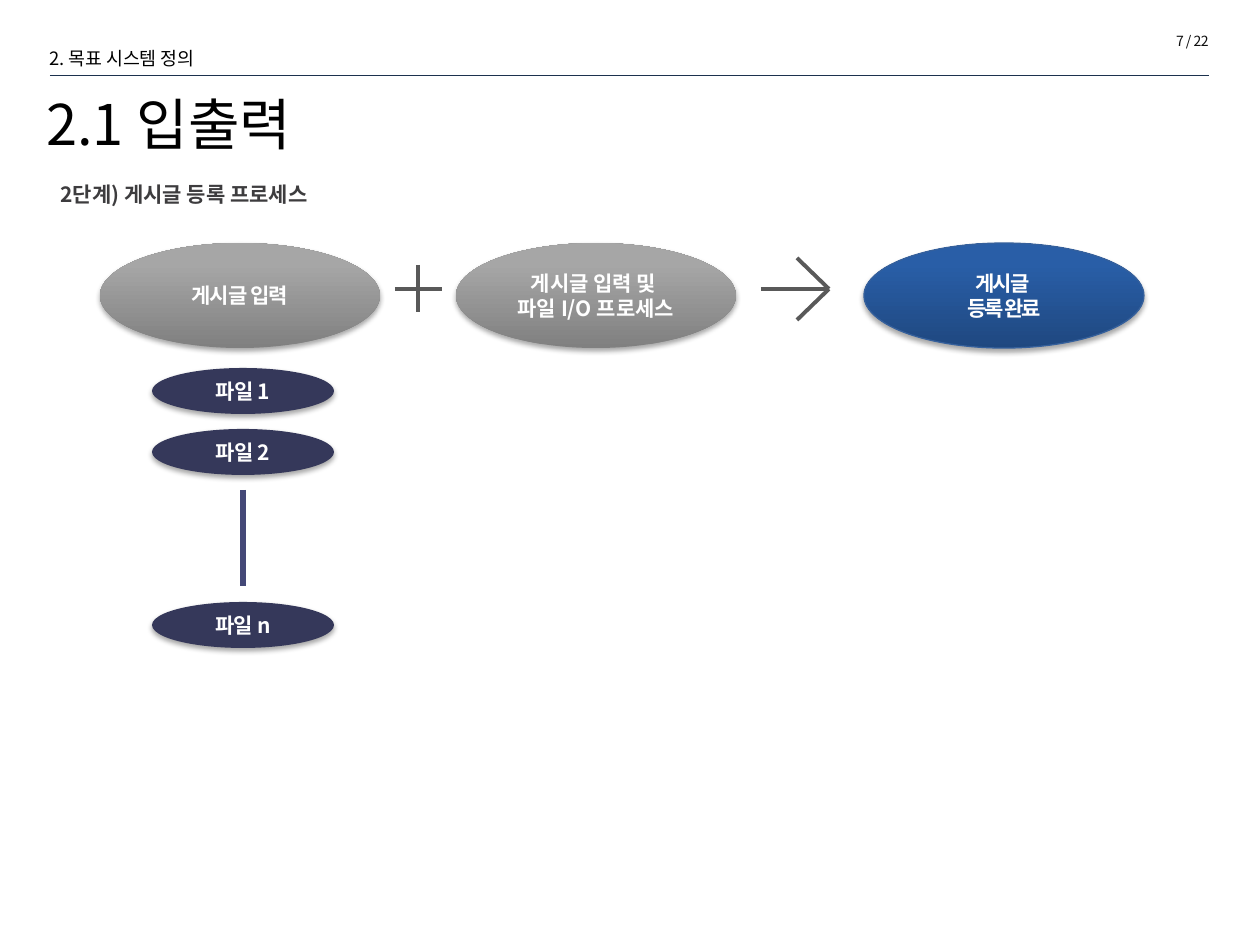
"""Build the slide on the input and output of the post registration process."""
from lxml.etree import SubElement
from pptx import Presentation
from pptx.dml.color import RGBColor
from pptx.enum.shapes import MSO_CONNECTOR as LINE, MSO_SHAPE as SHAPE
from pptx.enum.text import MSO_ANCHOR as ANCHOR, PP_ALIGN as ALIGN
from pptx.oxml.ns import qn
from pptx.util import Pt

FONT = "Noto Sans CJK KR"
SCALE = 914400 / 126
COLORS = {
    "black": "000000", "number": "0D0D0D", "heading": "3D3C3E", "white": "FFFFFF",
    "rule": "1C314E", "sign": "595959", "link": "444877", "file": "35385A",
    "gray_dark": "808080", "gray_light": "A6A6A6",
    "blue_dark": "1F4880", "blue_light": "295EA7", "blue_edge": "35609C",
}

LABELS = [
    ("2단계) 게시글 등록 프로세스", (48, 175, 549, 37),
     dict(size=12, color="heading", bold=True, before=2.4)),
    ("2. 목표 시스템 정의", (37, 19, 218, 52), dict(size=10.5, leading=25)),
    ("7 / 22", (1003, 26, 218, 30),
     dict(size=8, color="number", align=ALIGN.RIGHT, tracking=-0.3)),
    ("2.1 입출력", (34, 76, 1169, 118),
     dict(size=32, leading=25, anchor=ANCHOR.MIDDLE)),
]
STAGE_TOP, STAGE_SIZE = 243, (280, 105)
STAGES = [
    ("게시글 입력 및 \v파일 I/O 프로세스", 456, ("gray_dark", "gray_light"), None, 0),
    ("게시글 입력", 100, ("gray_dark", "gray_light"), None, -0.5),
    ("게시글 \n등록 완료", 864, ("blue_dark", "blue_light"), "blue_edge", -1.2),
]
FILE_LEFT, FILE_SIZE = 152, (182, 46)
FILES = [("파일 1", 368), ("파일 2", 429), ("파일 n", 602)]
AXIS = 289
LINES = [
    ("rule", 0.25, [(50, 75, 1209, 75)]),
    ("sign", 2.25, [(395, AXIS, 442, AXIS), (418, AXIS - 24, 418, AXIS + 23)]),
    ("link", 3, [(243, 490, 243, 586)]),
    ("sign", 2.25, [(797, AXIS - 31, 829, AXIS), (829, AXIS, 797, AXIS + 31),
                    (761, AXIS, 829, AXIS)]),
]


def emu(*pixels):
    return [round(pixel * SCALE) for pixel in pixels]


def rgb(name):
    return RGBColor.from_string(COLORS[name])


def write(shape, text, size=12, color="black", bold=False, align=ALIGN.LEFT,
          anchor=ANCHOR.TOP, leading=None, before=0, tracking=0):
    frame = shape.text_frame
    frame.word_wrap = True
    frame.vertical_anchor = anchor
    for index, words in enumerate(text.split("\n")):
        paragraph = frame.add_paragraph() if index else frame.paragraphs[0]
        paragraph.text = words
        paragraph.alignment = align
        paragraph.space_before = Pt(before)
        if leading:
            paragraph.line_spacing = Pt(leading)
        for run in paragraph.runs:
            run.font.name, run.font.size, run.font.bold = FONT, Pt(size), bold
            run.font.color.rgb = rgb(color)
            properties = run._r.get_or_add_rPr()
            SubElement(properties, qn("a:ea"), typeface=FONT)
            if tracking:
                properties.set("spc", str(round(tracking * 100)))


def add_shadow(shape):
    shape.shadow.inherit = False
    effects = shape._element.spPr.find(qn("a:effectLst"))
    outer = SubElement(effects, qn("a:outerShdw"), blurRad=str(Pt(3.1)),
                       dist=str(Pt(1.8)), dir="5400000", rotWithShape="0")
    tint = SubElement(outer, qn("a:srgbClr"), val=COLORS["black"])
    SubElement(tint, qn("a:alpha"), val="35000")


def add_oval(text, box, fills, edge=None, tracking=0):
    oval = slide.shapes.add_shape(SHAPE.OVAL, *emu(*box))
    if len(fills) == 1:
        oval.fill.solid()
        oval.fill.fore_color.rgb = rgb(fills[0])
    else:
        oval.fill.gradient()
        oval.fill.gradient_angle = 90
        for stop, name, position in zip(oval.fill.gradient_stops, fills, (0, 0.8)):
            stop.color.rgb, stop.position = rgb(name), position
    if edge:
        oval.line.color.rgb, oval.line.width = rgb(edge), Pt(0.75)
    else:
        oval.line.fill.background()
    add_shadow(oval)
    write(oval, text, color="white", bold=True, align=ALIGN.CENTER,
          anchor=ANCHOR.MIDDLE, tracking=tracking)


def add_line(ends, color, width):
    line = slide.shapes.add_connector(LINE.STRAIGHT, *emu(*ends))
    line.line.color.rgb, line.line.width = rgb(color), Pt(width)
    SubElement(line._element.spPr, qn("a:effectLst"))


deck = Presentation()
deck.slide_width, deck.slide_height = emu(1260, 945)
slide = deck.slides.add_slide(deck.slide_layouts[6])

for text, box, style in LABELS:
    write(slide.shapes.add_textbox(*emu(*box)), text, **style)
for text, left, fills, edge, tracking in STAGES:
    add_oval(text, (left, STAGE_TOP, *STAGE_SIZE), fills, edge, tracking)
for text, top in FILES:
    add_oval(text, (FILE_LEFT, top, *FILE_SIZE), ["file"], tracking=-0.5)
for color, width, segments in LINES:
    for ends in segments:
        add_line(ends, color, width)

deck.save("out.pptx")
